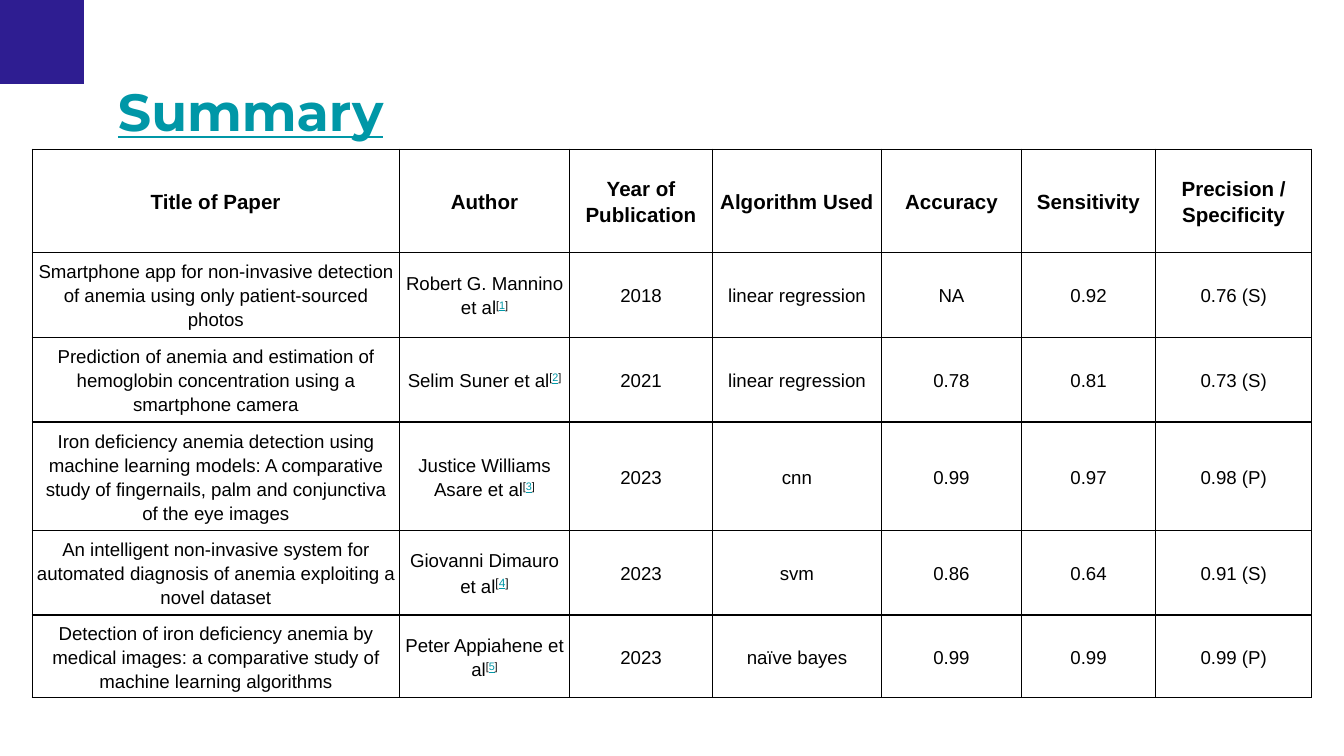
from pptx import Presentation
from pptx.dml.color import RGBColor
from pptx.enum.shapes import MSO_SHAPE
from pptx.enum.text import MSO_ANCHOR, PP_ALIGN
from pptx.oxml.ns import qn
from pptx.util import Inches, Pt
from lxml import etree

RECT, MIDDLE, CENTER = MSO_SHAPE.RECTANGLE, MSO_ANCHOR.MIDDLE, PP_ALIGN.CENTER

COLORS = {"accent": "2E1D91", "link": "0097A7", "ink": "000000"}
TITLE = "Summary"
HEADER = ["Title of Paper", "Author", "Year of Publication", "Algorithm Used",
          "Accuracy", "Sensitivity", "Precision / Specificity"]
PAPERS = [
    ("Smartphone app for non-invasive detection of anemia using only patient-sourced photos",
     "Robert G. Mannino et al", "2018", "linear regression", "NA", "0.92", "0.76 (S)"),
    ("Prediction of anemia and estimation of hemoglobin concentration using a smartphone camera",
     "Selim Suner et al", "2021", "linear regression", "0.78", "0.81", "0.73 (S)"),
    ("Iron deficiency anemia detection using machine learning models: A comparative study of "
     "fingernails, palm and conjunctiva of the eye images",
     "Justice Williams Asare et al", "2023", "cnn", "0.99", "0.97", "0.98 (P)"),
    ("An intelligent non-invasive system for automated diagnosis of anemia exploiting a "
     "novel dataset",
     "Giovanni Dimauro et al", "2023", "svm", "0.86", "0.64", "0.91 (S)"),
    ("Detection of iron deficiency anemia by medical images: a comparative study of "
     "machine learning algorithms",
     "Peter Appiahene et al", "2023", "naïve bayes", "0.99", "0.99", "0.99 (P)"),
]
AUTHOR_COL = HEADER.index("Author")
REF_SIZES = {4: 11}  # reference marks that differ from the body size

SLIDE_W = 10
SLIDE_H = SLIDE_W * 9 / 16
SQUARE = SLIDE_W / 16
TITLE_BOX = (0.78, 0.49, 8.44, 0.63)
TABLE_LEFT, TABLE_TOP, FRAME_SIDE = 0.24, 1.11, 3.28
COL_WIDTHS = [2.73, 1.27, 1.06, 1.26, 1.04, 1, 1.16]
ROW_HEIGHTS = [0.77, 0.63, 0.63, 0.78, 0.63, 0.53]

TITLE_FONT = {"name": "Montserrat", "size": Pt(28), "bold": True, "underline": True}
HEAD_FONT = {"name": "Arial", "size": Pt(11), "bold": True}
BODY_FONT = {"name": "Arial", "size": Pt(10), "bold": False}
LINK_FONT = {"underline": True}
CELL_FORMAT = {"vertical_anchor": MIDDLE, "margin_left": Inches(0.03),
               "margin_right": Inches(0.03), "margin_top": Inches(0.02),
               "margin_bottom": Inches(0.02)}
BORDER_WIDTH = Pt(0.75)


def apply(target, values):
    for name, value in values.items():
        setattr(target, name, value)


def add_run(p, text, font, color="ink", superscript=False):
    r = p.add_run()
    r.text = text
    apply(r.font, font)
    r.font.color.rgb = RGBColor.from_string(COLORS[color])
    if superscript:
        r.font._element.set("baseline", "30000")


def add_borders(cell):
    tc_pr = cell._tc.get_or_add_tcPr()
    for side in ("a:lnL", "a:lnR", "a:lnT", "a:lnB"):
        ln = etree.SubElement(tc_pr, qn(side), w=str(BORDER_WIDTH))
        fill = etree.SubElement(ln, qn("a:solidFill"))
        etree.SubElement(fill, qn("a:srgbClr"), val=COLORS["ink"])


def add_cell(cell, text, font, ref=None):
    """Fill one cell, with a superscript reference mark if ref is given."""
    apply(cell, CELL_FORMAT)
    add_borders(cell)
    cell.fill.background()
    p = cell.text_frame.paragraphs[0]
    apply(p, {"alignment": CENTER, "line_spacing": 1.15})
    add_run(p, text, font)
    if ref:
        ref_font = {**font, "size": Pt(REF_SIZES.get(ref, 10))}
        add_run(p, "[", ref_font, superscript=True)
        add_run(p, str(ref), {**ref_font, **LINK_FONT}, "link", superscript=True)
        add_run(p, "]", ref_font, superscript=True)


def add_summary_table(s):
    frame = s.shapes.add_table(
        len(ROW_HEIGHTS), len(COL_WIDTHS), Inches(TABLE_LEFT), Inches(TABLE_TOP),
        Inches(FRAME_SIDE), Inches(FRAME_SIDE))
    table = frame.table
    apply(table, {"first_row": False, "horz_banding": False})
    for column, width in zip(table.columns, COL_WIDTHS):
        column.width = Inches(width)
    for row, height in zip(table.rows, ROW_HEIGHTS):
        row.height = Inches(height)
    apply(frame, {"width": Inches(FRAME_SIDE), "height": Inches(FRAME_SIDE)})
    for i, texts in enumerate([HEADER, *PAPERS]):
        for j, text in enumerate(texts):
            ref = i if j == AUTHOR_COL else None
            add_cell(table.cell(i, j), text, BODY_FONT if i else HEAD_FONT, ref)


def main():
    prs = Presentation()
    prs.slide_width, prs.slide_height = Inches(SLIDE_W), Inches(SLIDE_H)
    s = prs.slides.add_slide(prs.slide_layouts[6])

    square = s.shapes.add_shape(RECT, 0, 0, Inches(SQUARE), Inches(SQUARE))
    square.shadow.inherit = False
    square.fill.solid()
    square.fill.fore_color.rgb = RGBColor.from_string(COLORS["accent"])
    square.line.fill.background()

    tf = s.shapes.add_textbox(*map(Inches, TITLE_BOX)).text_frame
    apply(tf, {"word_wrap": True, **dict.fromkeys(
        ("margin_left", "margin_right", "margin_top", "margin_bottom"), Inches(0.1))})
    add_run(tf.paragraphs[0], TITLE, TITLE_FONT, "link")

    add_summary_table(s)
    prs.save("out.pptx")


if __name__ == "__main__":
    main()
